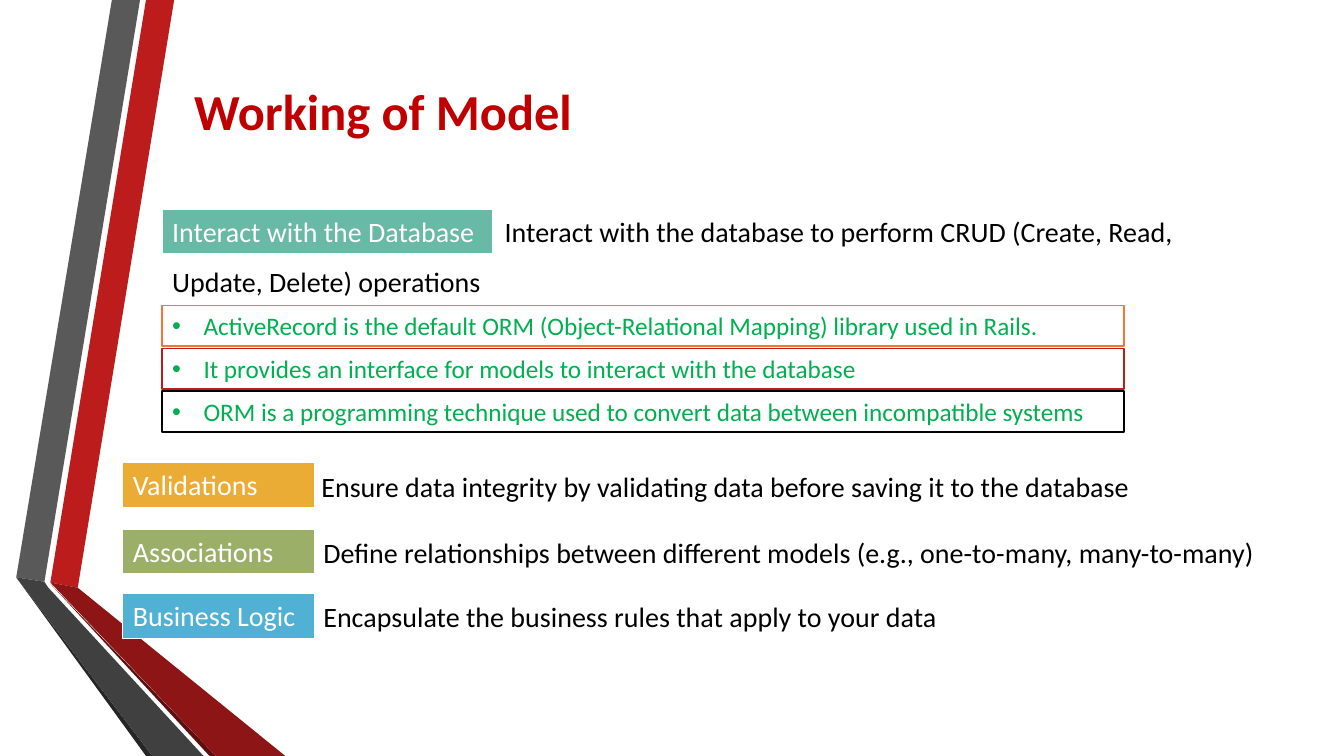
from dataclasses import dataclass
from typing import Optional

from lxml.etree import SubElement
from pptx import Presentation
from pptx.dml.color import RGBColor as RGB
from pptx.enum.shapes import MSO_SHAPE as SHAPE
from pptx.enum.text import MSO_ANCHOR as ANCHOR, MSO_AUTO_SIZE as AUTO, PP_ALIGN as ALIGN
from pptx.oxml.ns import qn
from pptx.slide import Slide
from pptx.util import Cm, Pt


@dataclass(frozen=True)
class Theme:
    font: str = "Calibri"
    title_size: int = 36
    body_size: int = 20
    bullet_size: int = 18
    title: str = "C00000"
    white: str = "FFFFFF"
    black: str = "000000"
    bullet: str = "00B050"
    orange: str = "F67534"
    red: str = "BC1C1C"
    dark_red: str = "8D1515"
    red_edge: str = "5E0E0E"
    grey: str = "595959"
    dark_grey: str = "404040"
    grey_edge: str = "262626"
    teal: str = "68B9A6"
    amber: str = "EAAC35"
    olive: str = "9BAF68"
    blue: str = "50B1D4"


T = Theme()
BOTTOM = 19.05
ROW_H = 1.12
BULLET_X, BULLET_Y, BULLET_STEP = 4.09, 7.7, 1.08


@dataclass(frozen=True)
class Ribbon:
    color: str
    points: tuple[tuple[float, float], ...]


@dataclass(frozen=True)
class Box:
    text: str
    x: float
    y: float
    w: float
    h: float = ROW_H
    size: int = T.body_size
    color: str = T.black
    fill: Optional[str] = None
    line: str = T.white
    line_w: float = 0.75
    bold: bool = False
    centred: bool = False
    bulleted: bool = False


RIBBONS = (
    Ribbon(T.red, ((1.27, 14.68), (1.96, 14.81), (4.39, 0), (3.68, 0))),
    Ribbon(T.grey, ((3.53, 0), (2.82, 0), (0.41, 14.55), (1.12, 14.66))),
    Ribbon(T.grey_edge, ((0.41, 14.55), (3.68, BOTTOM), (3.84, BOTTOM))),
    Ribbon(T.red_edge, ((1.27, 14.71), (5.28, BOTTOM), (5.44, BOTTOM))),
    Ribbon(T.dark_red, ((1.27, 14.68), (5.44, BOTTOM), (7.19, BOTTOM), (1.96, 14.81))),
    Ribbon(T.dark_grey, ((5.13, BOTTOM), (1.22, 14.81), (1.12, 14.66),
                         (0.41, 14.55), (3.84, BOTTOM))),
)

TITLE = Box("Working of Model", 4.37, 2.01, 10.57, 1.55, T.title_size, T.title,
            bold=True, centred=True)

LABELS = tuple(
    Box(text, x, y, w, color=T.white, fill=fill)
    for text, x, y, w, fill in (
        ("Interact with the Database", 4.09, 5.28, 8.33, T.teal),
        ("Validations", 3.1, 11.66, 4.83, T.amber),
        ("Associations", 3.1, 13.34, 4.83, T.olive),
        ("Business Logic", 3.1, 14.96, 4.83, T.blue),
    )
)

DESCRIPTIONS = (
    Box("Interact with the database to perform CRUD (Create, Read,", 12.47, 5.28, 18.01),
    Box("Update, Delete) operations", 4.09, 6.55, 8.69),
    Box("Ensure data integrity by validating data before saving it to the database",
        7.85, 11.71, 21.64),
    Box("Define relationships between different models (e.g., one-to-many, many-to-many)",
        7.9, 13.36, 24.56),
    Box("Encapsulate the business rules that apply to your data", 7.9, 14.99, 16.33),
)

BULLETS = tuple(
    Box(text, BULLET_X, BULLET_Y + i * BULLET_STEP, 24.23, 1.02, T.bullet_size, T.bullet,
        T.white, line, 1.25, bulleted=True)
    for i, (text, line) in enumerate((
        ("ActiveRecord is the default ORM (Object-Relational Mapping) library used in Rails.",
         T.orange),
        ("It provides an interface for models to interact with the database", T.red),
        ("ORM is a programming technique used to convert data between incompatible systems",
         T.black),
    ))
)


def draw_ribbon(s: Slide, ribbon: Ribbon) -> None:
    """Draw one filled band of the left-hand decoration."""
    start, *rest = [(Cm(x), Cm(y)) for x, y in ribbon.points]
    builder = s.shapes.build_freeform(*start)
    builder.add_line_segments(rest, close=True)
    sp = builder.convert_to_shape()
    sp.shadow.inherit = False
    sp.fill.solid()
    sp.fill.fore_color.rgb = RGB.from_string(ribbon.color)
    sp.line.fill.background()


def draw_box(s: Slide, box: Box) -> None:
    """Draw a text box, or a rectangle when the box has a fill."""
    place = Cm(box.x), Cm(box.y), Cm(box.w), Cm(box.h)
    if box.fill:
        sp = s.shapes.add_shape(SHAPE.RECTANGLE, *place)
        sp.shadow.inherit = False
        sp.fill.solid()
        sp.fill.fore_color.rgb = RGB.from_string(box.fill)
        sp.line.color.rgb = RGB.from_string(box.line)
        sp.line.width = Pt(box.line_w)
    else:
        sp = s.shapes.add_textbox(*place)
    tf = sp.text_frame
    tf.text = box.text
    tf.word_wrap = True
    tf.auto_size = AUTO.NONE if box.centred else AUTO.SHAPE_TO_FIT_TEXT
    tf.vertical_anchor = ANCHOR.MIDDLE if box.centred else ANCHOR.TOP
    p = tf.paragraphs[0]
    p.alignment = ALIGN.CENTER if box.centred else ALIGN.LEFT
    if box.bulleted:
        add_bullet(p)
    font = p.runs[0].font
    font.name = T.font
    font.size = Pt(box.size)
    font.bold = box.bold
    font.color.rgb = RGB.from_string(box.color)


def add_bullet(p) -> None:
    """Give a paragraph a hanging round bullet."""
    indent = Cm(0.79)
    props = p._p.get_or_add_pPr()
    props.set("marL", str(indent))
    props.set("indent", str(-indent))
    SubElement(props, qn("a:buFont"), typeface="Arial")
    SubElement(props, qn("a:buChar"), char="•")


def main() -> None:
    """Build the slide and save it."""
    prs = Presentation()
    prs.slide_width, prs.slide_height = Cm(33.87), Cm(BOTTOM)
    s = prs.slides.add_slide(prs.slide_layouts[6])
    for ribbon in RIBBONS:
        draw_ribbon(s, ribbon)
    for box in (TITLE, *LABELS, *DESCRIPTIONS, *BULLETS):
        draw_box(s, box)
    prs.save("out.pptx")


if __name__ == "__main__":
    main()
